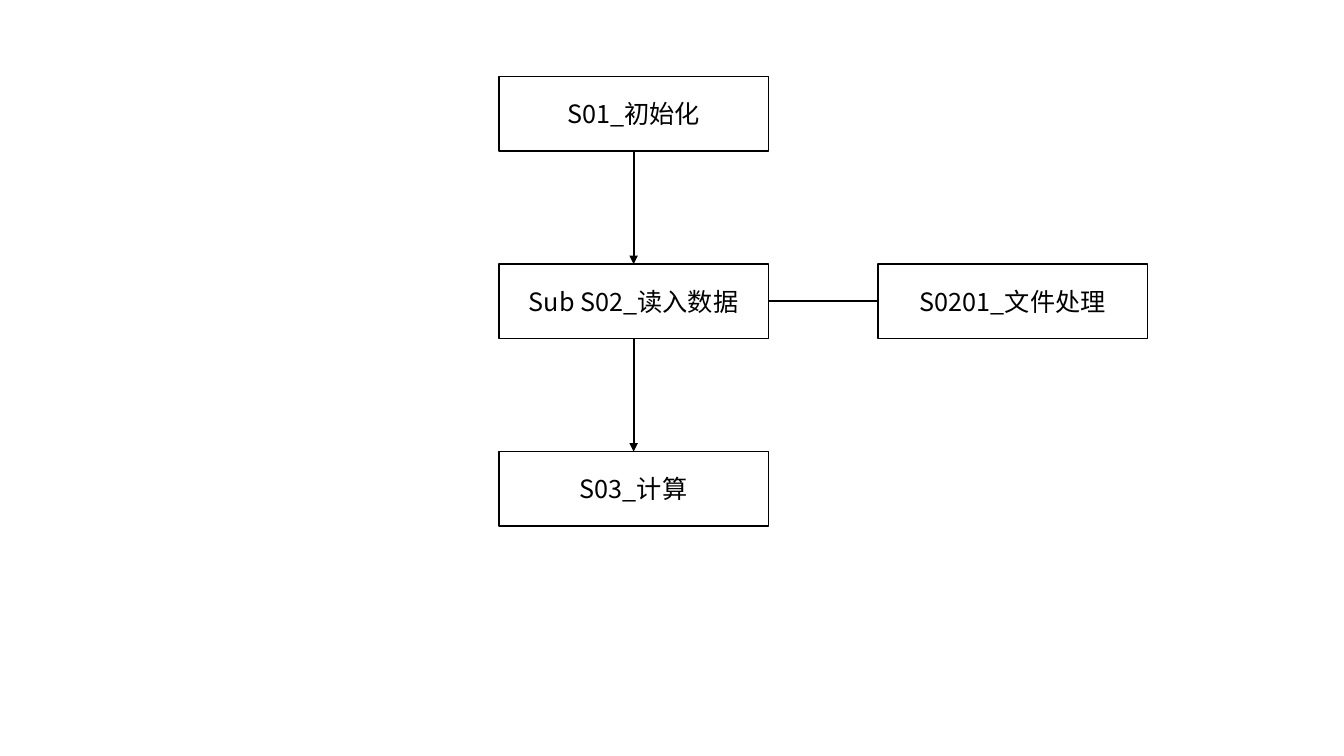
from dataclasses import dataclass
from pptx import Presentation
from pptx import util as u
from pptx.dml.color import RGBColor
from pptx.enum import shapes, text
from pptx.oxml import ns
from lxml import etree

COLOURS = {"ink": "000000"}
FONT = "Noto Sans CJK SC"
LEFT, TOP = 4.95, 0.76
COLUMN_STEP, ROW_STEP = 3.76, 1.86
BOX_WIDTH, BOX_HEIGHT = 2.67, 0.74
BOTTOM_SIDE, TOP_SIDE, RIGHT_SIDE, LEFT_SIDE = 2, 0, 3, 1
FONT_FORMAT = {"name": FONT, "size": u.Pt(18)}
FRAME_FORMAT = {"word_wrap": True, "vertical_anchor": text.MSO_ANCHOR.MIDDLE}


@dataclass(frozen=True)
class Step:
    label: str
    column: int
    row: int


@dataclass(frozen=True)
class Link:
    start: str
    start_side: int
    end: str
    end_side: int
    arrow: bool


STEPS = {
    "initialise": Step("S01_初始化", 0, 0),
    "read": Step("Sub S02_读入数据", 0, 1),
    "calculate": Step("S03_计算", 0, 2),
    "files": Step("S0201_文件处理", 1, 1),
}
LINKS = [
    Link("initialise", BOTTOM_SIDE, "read", TOP_SIDE, True),
    Link("read", BOTTOM_SIDE, "calculate", TOP_SIDE, True),
    Link("read", RIGHT_SIDE, "files", LEFT_SIDE, False),
]


def colour(name: str) -> RGBColor:
    return RGBColor.from_string(COLOURS[name])


def apply_format(target: object, values: dict) -> None:
    for name, value in values.items():
        setattr(target, name, value)


def draw_line(line, width: float) -> None:
    line.color.rgb = colour("ink")
    line.width = u.Pt(width)


def draw_step(page, step: Step):
    box = page.shapes.add_shape(
        shapes.MSO_SHAPE.RECTANGLE,
        u.Inches(LEFT + step.column * COLUMN_STEP),
        u.Inches(TOP + step.row * ROW_STEP),
        u.Inches(BOX_WIDTH),
        u.Inches(BOX_HEIGHT),
    )
    box.shadow.inherit = False
    box.fill.background()
    draw_line(box.line, 1)
    apply_format(box.text_frame, FRAME_FORMAT)
    para = box.text_frame.paragraphs[0]
    para.alignment = text.PP_ALIGN.CENTER
    span = para.add_run()
    span.text = step.label
    apply_format(span.font, FONT_FORMAT)
    span.font.color.rgb = colour("ink")
    etree.SubElement(span.font._element, ns.qn("a:ea"), typeface=FONT)
    return box


def draw_link(page, link: Link, boxes: dict) -> None:
    connector = page.shapes.add_connector(shapes.MSO_CONNECTOR.STRAIGHT, 0, 0, 0, 0)
    connector.begin_connect(boxes[link.start], link.start_side)
    connector.end_connect(boxes[link.end], link.end_side)
    draw_line(connector.line, 1.5)
    properties = connector._element.spPr
    if link.arrow:
        outline = properties.find(ns.qn("a:ln"))
        etree.SubElement(outline, ns.qn("a:tailEnd"), type="triangle")
    etree.SubElement(properties, ns.qn("a:effectLst"))


def main() -> None:
    deck = Presentation()
    apply_format(deck, {"slide_width": u.Inches(13.33), "slide_height": u.Inches(7.5)})
    page = deck.slides.add_slide(deck.slide_layouts[6])
    boxes = {name: draw_step(page, step) for name, step in STEPS.items()}
    for link in LINKS:
        draw_link(page, link, boxes)
    deck.save("out.pptx")


if __name__ == "__main__":
    main()
